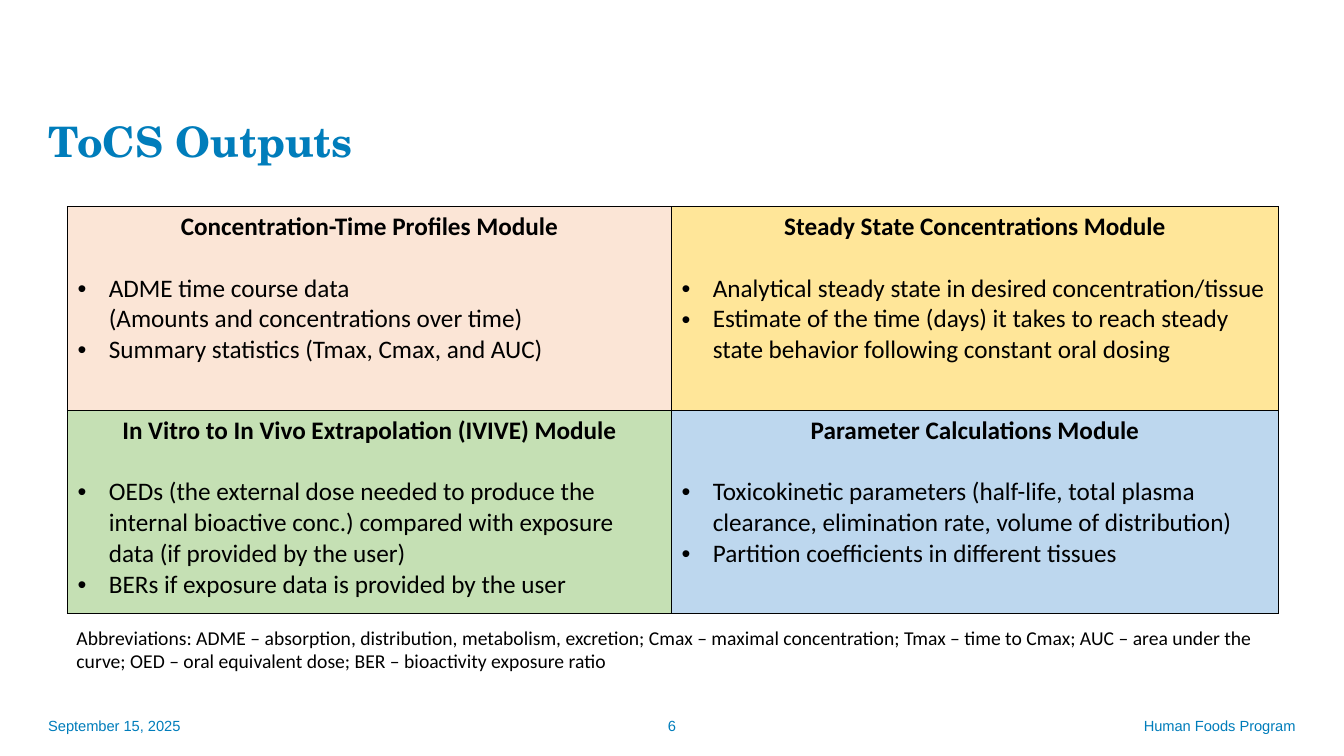
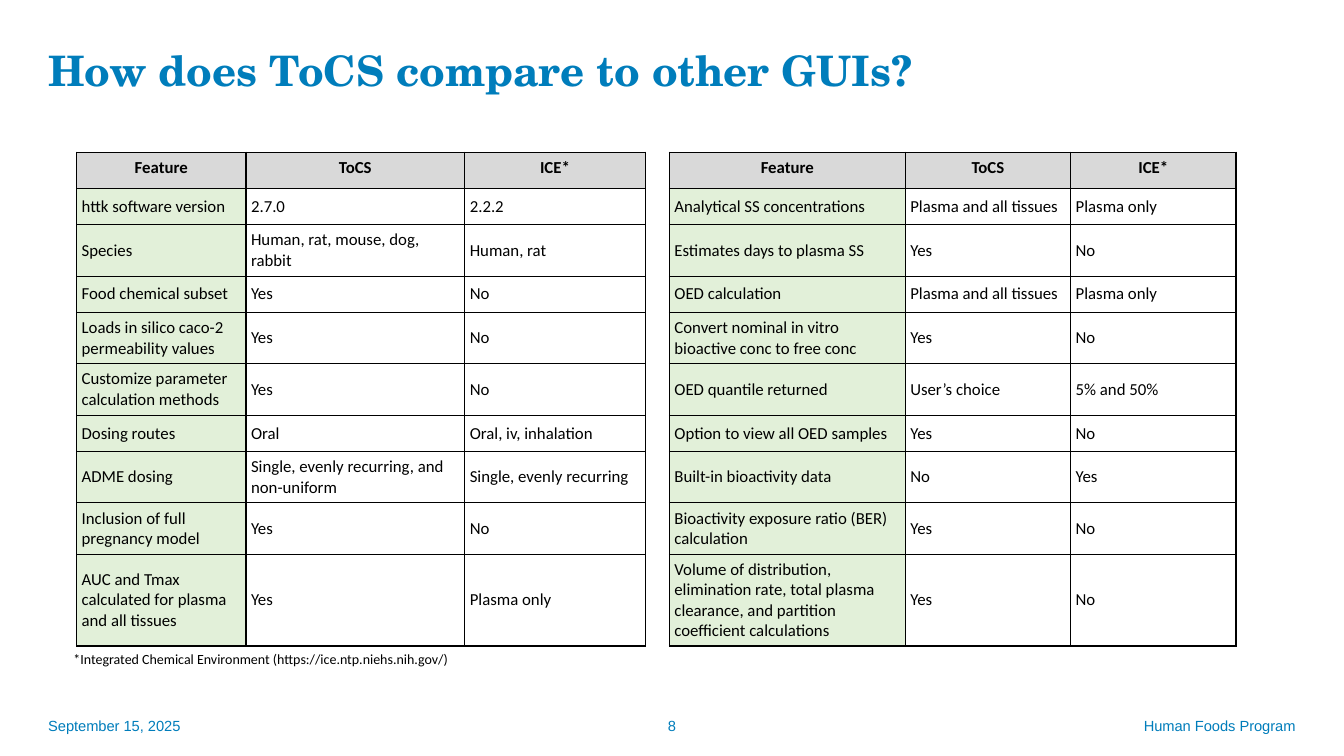
from lxml import etree
from pptx import Presentation
from pptx.dml.color import RGBColor
from pptx.enum.text import MSO_ANCHOR, MSO_AUTO_SIZE, PP_ALIGN
from pptx.oxml.ns import qn
from pptx.util import Inches, Pt

LEFT, CENTER, RIGHT = PP_ALIGN.LEFT, PP_ALIGN.CENTER, PP_ALIGN.RIGHT
TOP, MIDDLE = MSO_ANCHOR.TOP, MSO_ANCHOR.MIDDLE
NO_AUTOFIT = MSO_AUTO_SIZE.NONE
TITLE_ONLY = 5

SLIDE_WIDTH, SLIDE_HEIGHT = 13.33, 7.5
MARGIN = 0.38
BLUE = RGBColor(0x00, 0x7D, 0xBB)
BLACK = RGBColor(0x00, 0x00, 0x00)
WHITE = RGBColor(0xFF, 0xFF, 0xFF)
GRAY = RGBColor(0xD9, 0xD9, 0xD9)
PALE_GREEN = RGBColor(0xE2, 0xF0, 0xD9)
PEACH = RGBColor(0xFB, 0xE5, 0xD6)
YELLOW = RGBColor(0xFF, 0xE6, 0x99)
GREEN = RGBColor(0xC5, 0xE0, 0xB4)
LIGHT_BLUE = RGBColor(0xBD, 0xD7, 0xEE)

TITLE_FONT, BODY_FONT, FOOTER_FONT = "TeX Gyre Schola", "Calibri", "Arial"
DATE, PROGRAM = "September 15, 2025", "Human Foods Program"

MODULES = [
    [
        ("Concentration-Time Profiles Module", PEACH, [
            "ADME time course data\v(Amounts and concentrations over time)",
            "Summary statistics (Tmax, Cmax, and AUC)"]),
        ("Steady State Concentrations Module", YELLOW, [
            "Analytical steady state in desired concentration/tissue",
            "Estimate of the time (days) it takes to reach steady state "
            "behavior following constant oral dosing"]),
    ],
    [
        ("In Vitro to In Vivo Extrapolation (IVIVE) Module", GREEN, [
            "OEDs (the external dose needed to produce the internal bioactive "
            "conc.) compared with exposure data (if provided by the user)",
            "BERs if exposure data is provided by the user"]),
        ("Parameter Calculations Module", LIGHT_BLUE, [
            "Toxicokinetic parameters (half-life, total plasma clearance, "
            "elimination rate, volume of distribution)",
            "Partition coefficients in different tissues"]),
    ],
]
ABBREVIATIONS = (
    "Abbreviations: ADME – absorption, distribution, metabolism, excretion; "
    "Cmax – maximal concentration; Tmax – time to Cmax; AUC – area under the "
    "curve; OED – oral equivalent dose; BER – bioactivity exposure ratio")

HEADINGS = ("Feature", "ToCS", "ICE*")
GENERAL_FEATURES = [
    HEADINGS,
    ("httk software version", "2.7.0", "2.2.2"),
    ("Species", "Human, rat, mouse, dog, rabbit", "Human, rat"),
    ("Food chemical subset", "Yes", "No"),
    ("Loads in silico caco-2 permeability values", "Yes", "No"),
    ("Customize parameter calculation methods", "Yes", "No"),
    ("Dosing routes", "Oral", "Oral, iv, inhalation"),
    ("ADME dosing", "Single, evenly recurring, and non-uniform",
     "Single, evenly recurring"),
    ("Inclusion of full pregnancy model", "Yes", "No"),
    ("AUC and Tmax calculated for plasma and all tissues", "Yes", "Plasma only"),
]
DOSE_FEATURES = [
    HEADINGS,
    ("Analytical SS concentrations", "Plasma and all tissues", "Plasma only"),
    ("Estimates days to plasma SS", "Yes", "No"),
    ("OED calculation", "Plasma and all tissues", "Plasma only"),
    ("Convert nominal in vitro bioactive conc to free conc", "Yes", "No"),
    ("OED quantile returned", "User’s choice", "5% and 50%"),
    ("Option to view all OED samples", "Yes", "No"),
    ("Built-in bioactivity data", "No", "Yes"),
    ("Bioactivity exposure ratio (BER) calculation", "Yes", "No"),
    ("Volume of distribution, elimination rate, total plasma clearance, and "
     "partition coefficient calculations", "Yes", "No"),
]
FEATURE_COLUMNS = [1.68, 2.17, 1.79, 0.24, 2.34, 1.64, 1.64]
GAP_COLUMN = 3
SINGLE_ROW, DOUBLE_ROW, TALL_ROW = 0.36, 0.51, 0.91
FEATURE_ROWS = [SINGLE_ROW, SINGLE_ROW, DOUBLE_ROW, SINGLE_ROW, DOUBLE_ROW,
                DOUBLE_ROW, SINGLE_ROW, DOUBLE_ROW, DOUBLE_ROW, TALL_ROW]


def format_paragraph(paragraph, font_name, size, color=BLACK, bold=False, align=LEFT):
    paragraph.alignment = align
    for run in paragraph.runs:
        run.font.name = font_name
        run.font.size = Pt(size)
        run.font.color.rgb = color
        run.font.bold = bold


def add_text(slide, box, text, font_name, size, color=BLACK, align=LEFT,
             anchor=TOP, wrap=True):
    frame = slide.shapes.add_textbox(*map(Inches, box)).text_frame
    frame.word_wrap = wrap
    frame.vertical_anchor = anchor
    frame.text = text
    format_paragraph(frame.paragraphs[0], font_name, size, color, align=align)


def add_title_slide(presentation, title, title_top, number):
    """Add a slide with its title and the three footer texts."""
    slide = presentation.slides.add_slide(presentation.slide_layouts[TITLE_ONLY])
    shape = slide.shapes.title
    shape.left, shape.top, shape.width, shape.height = map(
        Inches, (MARGIN, title_top, 11.5, 0.6))
    frame = shape.text_frame
    frame.text = title
    frame.word_wrap = True
    frame.auto_size = NO_AUTOFIT
    frame.vertical_anchor = TOP
    paragraph = frame.paragraphs[0]
    paragraph.line_spacing = 0.9
    format_paragraph(paragraph, TITLE_FONT, 30, BLUE, bold=True)

    footers = [
        (MARGIN, 3, DATE, LEFT),
        ((SLIDE_WIDTH - 3) / 2, 3, str(number), CENTER),
        (SLIDE_WIDTH - MARGIN - 4.5, 4.5, PROGRAM, RIGHT),
    ]
    for left, width, text, align in footers:
        add_text(slide, (left, 7, width, 0.4), text, FOOTER_FONT, 10.5, BLUE,
                 align, MIDDLE)
    return slide


def add_plain_table(slide, left, top, columns, rows):
    table = slide.shapes.add_table(
        len(rows), len(columns), Inches(left), Inches(top),
        Inches(sum(columns)), Inches(sum(rows))).table
    table.first_row = table.horz_banding = False
    for column, width in zip(table.columns, columns):
        column.width = Inches(width)
    for row, height in zip(table.rows, rows):
        row.height = Inches(height)
    return table


def style_cell(cell, fill, margin=None, ruled_sides="LRTB"):
    """Fill a cell and rule the given sides with a thin black line."""
    cell.fill.solid()
    cell.fill.fore_color.rgb = fill
    if margin is not None:
        cell.margin_left = cell.margin_right = Inches(margin)
        cell.margin_top = cell.margin_bottom = Inches(margin)
    properties = cell._tc.get_or_add_tcPr()
    for position, side in enumerate("LRTB"):
        line = etree.Element(qn(f"a:ln{side}"), w=str(Pt(1)))
        if side in ruled_sides:
            solid = etree.SubElement(line, qn("a:solidFill"))
            etree.SubElement(solid, qn("a:srgbClr"), val=str(BLACK))
        else:
            etree.SubElement(line, qn("a:noFill"))
        properties.insert(position, line)


def add_bullet(paragraph, indent):
    properties = paragraph._p.get_or_add_pPr()
    properties.set("marL", str(Inches(indent)))
    properties.set("indent", str(-Inches(indent)))
    etree.SubElement(properties, qn("a:buFont"), typeface="Arial")
    etree.SubElement(properties, qn("a:buChar"), char="•")


def fill_module_cell(cell, heading, fill, outputs):
    style_cell(cell, fill)
    frame = cell.text_frame
    frame.text = heading
    frame.paragraphs[0].space_after = Pt(22)
    format_paragraph(frame.paragraphs[0], BODY_FONT, 18, bold=True, align=CENTER)
    for output in outputs:
        paragraph = frame.add_paragraph()
        paragraph.text = output
        add_bullet(paragraph, 0.31)
        format_paragraph(paragraph, BODY_FONT, 18)


def fill_features(table, features, first_column):
    """Write one block of features, starting at the given column."""
    for row, texts in enumerate(features):
        for offset, text in enumerate(texts):
            is_heading = row == 0
            cell = table.cell(row, first_column + offset)
            fill = GRAY if is_heading else PALE_GREEN if offset == 0 else WHITE
            style_cell(cell, fill, margin=0.05)
            cell.vertical_anchor = TOP if is_heading else MIDDLE
            cell.text_frame.text = text
            format_paragraph(cell.text_frame.paragraphs[0], BODY_FONT, 12,
                             bold=is_heading, align=CENTER if is_heading else LEFT)


def build_outputs_slide(presentation):
    slide = add_title_slide(presentation, "ToCS Outputs", 1.15, 6)
    table = add_plain_table(slide, 0.67, 2.05, [5.99, 6.02], [2.02, 2.02])
    for row, modules in enumerate(MODULES):
        for column, module in enumerate(modules):
            fill_module_cell(table.cell(row, column), *module)
    add_text(slide, (0.66, 6.16, 12.02, 0.57), ABBREVIATIONS, BODY_FONT, 14)


def build_comparison_slide(presentation):
    slide = add_title_slide(
        presentation, "How does ToCS compare to other GUIs?", 0.45, 8)
    table = add_plain_table(slide, 0.76, 1.51, FEATURE_COLUMNS, FEATURE_ROWS)
    fill_features(table, GENERAL_FEATURES, 0)
    fill_features(table, DOSE_FEATURES, GAP_COLUMN + 1)
    for row in range(len(FEATURE_ROWS)):
        style_cell(table.cell(row, GAP_COLUMN), WHITE, margin=0, ruled_sides="LR")
    add_text(slide, (0.63, 6.4, 3.99, 0.27),
             "*Integrated Chemical Environment (https://ice.ntp.niehs.nih.gov/)",
             BODY_FONT, 10, wrap=False)


def main():
    presentation = Presentation()
    presentation.slide_width = Inches(SLIDE_WIDTH)
    presentation.slide_height = Inches(SLIDE_HEIGHT)
    build_outputs_slide(presentation)
    build_comparison_slide(presentation)
    presentation.save("out.pptx")


if __name__ == "__main__":
    main()
